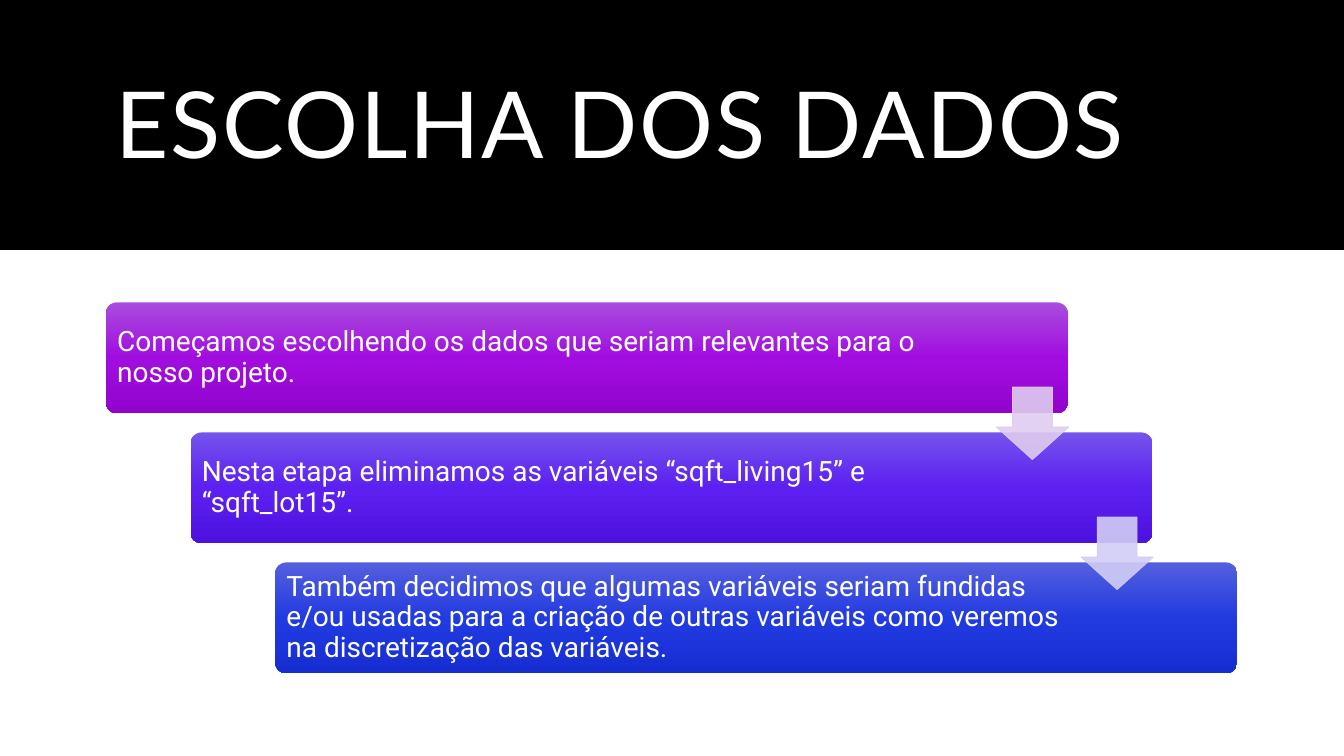
from copy import deepcopy
from dataclasses import dataclass

from lxml import etree
from pptx import Presentation
from pptx.dml.color import RGBColor
from pptx.enum.shapes import MSO_SHAPE
from pptx.enum.text import MSO_ANCHOR, MSO_AUTO_SIZE, PP_ALIGN
from pptx.oxml.ns import qn
from pptx.util import Pt

RECT = MSO_SHAPE.RECTANGLE
ROUND = MSO_SHAPE.ROUNDED_RECTANGLE
DOWN = MSO_SHAPE.DOWN_ARROW
LEFT = PP_ALIGN.LEFT
MIDDLE = MSO_ANCHOR.MIDDLE
NO_FIT = MSO_AUTO_SIZE.NONE

PX = 9144
SLIDE_W, SLIDE_H = 1333, 750


@dataclass(frozen=True)
class Theme:
    """Colours, fonts and type sizes of the slide."""
    band: str = "000000"
    text: str = "FFFFFF"
    title_font: str = "Lato"
    body_font: str = "Roboto"
    title_size: int = 66
    body_size: int = 20
    cards: tuple = (("A94DDE", "A10DDF", "9204CE"),
                    ("7553EC", "5C20F0", "4D11E0"),
                    ("545FDE", "223BE1", "152DD1"))
    arrows: tuple = ("DFCCEF", "D2CDF6")


THEME = Theme()
TITLE = "ESCOLHA DOS DADOS"
STEPS = (
    ("Começamos escolhendo os dados que seriam relevantes para o nosso projeto.", 121),
    ("Nesta etapa eliminamos as variáveis “sqft_living15” e “sqft_lot15”.", 164),
    ("Também decidimos que algumas variáveis seriam fundidas e/ou usadas para a "
     "criação de outras variáveis como veremos na discretização das variáveis.", 164),
)


def write_text(shape, text, font, size, spacing=0, insets=(10, 5, 10, 5)):
    """Fill a shape with one left-aligned, vertically centred paragraph."""
    tf = shape.text_frame
    tf.word_wrap = True
    tf.auto_size = NO_FIT
    tf.vertical_anchor = MIDDLE
    tf.margin_left, tf.margin_top, tf.margin_right, tf.margin_bottom = (
        v * PX for v in insets)
    p = tf.paragraphs[0]
    p.alignment = LEFT
    p.line_spacing = 0.9
    r = p.add_run()
    r.text = text
    r.font.name = font
    r.font.size = Pt(size)
    r.font.color.rgb = RGBColor.from_string(THEME.text)
    if spacing:
        r.font._element.set("spc", str(spacing))


def add_block(s, kind, box, adjustments=()):
    """Add a preset shape without shadow or outline."""
    sp = s.shapes.add_shape(kind, *(v * PX for v in box))
    sp.shadow.inherit = False
    sp.line.fill.background()
    for i, value in enumerate(adjustments):
        sp.adjustments[i] = value
    return sp


def fill_gradient(sp, colors):
    """Give a shape a top-to-bottom gradient with evenly spaced stops."""
    sp.fill.gradient()
    sp.fill.gradient_angle = 270
    stops = sp._element.spPr.find(qn("a:gradFill")).find(qn("a:gsLst"))
    for _ in colors[2:]:
        stops.append(deepcopy(stops[-1]))
    for i, (stop, color) in enumerate(zip(sp.fill.gradient_stops, colors)):
        stop.color.rgb = RGBColor.from_string(color)
        stop.position = i / (len(colors) - 1)


def add_header(s, box):
    """Draw the dark band and set the title inside it."""
    x, y, w, h = box
    band = add_block(s, RECT, box)
    band.fill.solid()
    band.fill.fore_color.rgb = RGBColor.from_string(THEME.band)
    s.shapes._spTree.insert(2, band._element)
    title = s.shapes.title
    title.left, title.top = (x + 105) * PX, (y + 35) * PX
    title.width, title.height = (w - 210) * PX, (h - 62) * PX
    write_text(title, TITLE, THEME.title_font, THEME.title_size, spacing=120)


def add_card(s, box, text, colors, right_inset):
    """Draw one step as a rounded gradient card with its text."""
    card = add_block(s, ROUND, box, (0.1,))
    fill_gradient(card, colors)
    write_text(card, text, THEME.body_font, THEME.body_size,
               insets=(8, 8, right_inset, 8))


def add_arrow(s, box, color):
    """Draw a slightly transparent arrow leading to the next step."""
    arrow = add_block(s, DOWN, box, (0.55, 0.45))
    arrow.line.width = Pt(0.5)
    for fill in (arrow.fill, arrow.line.fill):
        fill.solid()
        fill.fore_color.rgb = RGBColor.from_string(color)
    for clr in arrow._element.spPr.iter(qn("a:srgbClr")):
        etree.SubElement(clr, qn("a:alpha")).set("val", "90000")


def add_staircase(s, box):
    """Lay the steps out as a descending staircase joined by arrows."""
    x, y, w, h = box
    card_w, card_h, arrow = 954, 110, 72
    last = len(STEPS) - 1
    dx, dy = (w - card_w) // last, (h - card_h) // last
    for i, (text, inset) in enumerate(STEPS):
        add_card(s, (x + i * dx, y + i * dy, card_w, card_h),
                 text, THEME.cards[i], inset)
    for i, color in enumerate(THEME.arrows):
        right = x + i * dx + card_w + 1
        add_arrow(s, (right - arrow, y + i * dy + 84, arrow, arrow), color)


def main():
    """Build the slide and save it."""
    prs = Presentation()
    prs.slide_width, prs.slide_height = SLIDE_W * PX, SLIDE_H * PX
    s = prs.slides.add_slide(prs.slide_layouts[5])
    add_header(s, (0, 0, SLIDE_W, 248))
    add_staircase(s, (105, 300, 1122, 368))
    prs.save("out.pptx")


if __name__ == "__main__":
    main()
